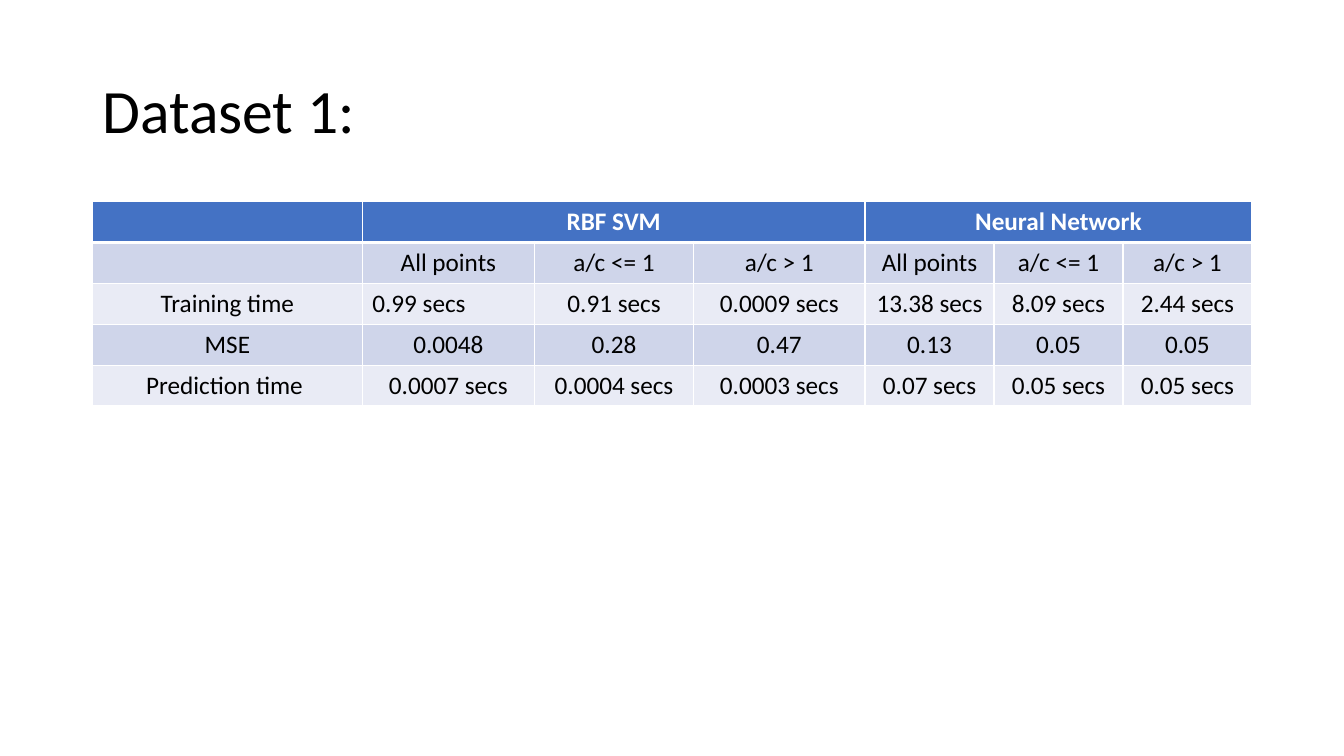
"""Build the Dataset 1 slide comparing RBF SVM and neural network results."""
from lxml import etree
from pptx import Presentation
from pptx.dml.color import RGBColor
from pptx.enum.text import MSO_ANCHOR, PP_ALIGN
from pptx.oxml.ns import qn
from pptx.util import Cm, Pt

MIDDLE = MSO_ANCHOR.MIDDLE
LEFT, CENTER = PP_ALIGN.LEFT, PP_ALIGN.CENTER
BLACK = RGBColor(0x00, 0x00, 0x00)
WHITE = RGBColor(0xFF, 0xFF, 0xFF)
BLUE = RGBColor(0x44, 0x72, 0xC4)
DARK = RGBColor(0xCF, 0xD5, 0xEA)
LIGHT = RGBColor(0xE9, 0xEB, 0xF5)
FONT = "Calibri"

WIDTHS = [6.8, 4.34, 4.01, 4.32, 3.25, 3.25, 3.25]
POINTS = ["All points", "a/c <= 1", "a/c > 1"]
ROWS = [
    ["", "RBF SVM", "", "", "Neural Network", "", ""],
    ["", *POINTS, *POINTS],
    ["Training time", "0.99 secs", "0.91 secs", "0.0009 secs",
     "13.38 secs", "8.09 secs", "2.44 secs"],
    ["MSE", "0.0048", "0.28", "0.47", "0.13", "0.05", "0.05"],
    ["Prediction time ", "0.0007 secs", "0.0004 secs", "0.0003 secs",
     "0.07 secs", "0.05 secs", "0.05 secs"],
]


def style(para, size, color, bold=False):
    para.font.name = FONT
    para.font.size = Pt(size)
    para.font.color.rgb = color
    para.font.bold = bold


def border(cell, side, width):
    props = cell._tc.get_or_add_tcPr()
    line = etree.SubElement(props, qn("a:ln" + side), w=str(Pt(width)))
    fill = etree.SubElement(line, qn("a:solidFill"))
    etree.SubElement(fill, qn("a:srgbClr"), val=str(WHITE))


prs = Presentation()
prs.slide_width, prs.slide_height = Cm(33.87), Cm(19.05)
slide = prs.slides.add_slide(prs.slide_layouts[6])

title = slide.shapes.add_textbox(Cm(2.33), Cm(1.01), Cm(29.21), Cm(3.68))
frame = title.text_frame
frame.word_wrap = True
frame.vertical_anchor = MIDDLE
head = frame.paragraphs[0]
head.text = "Dataset 1:"
head.line_spacing = 0.9
style(head, 44, BLACK)

table = slide.shapes.add_table(
    len(ROWS), len(WIDTHS), Cm(2.33), Cm(5.08), Cm(sum(WIDTHS)), Cm(5.15)
).table
for col, width in zip(table.columns, WIDTHS):
    col.width = Cm(width)

for r, row in enumerate(ROWS):
    for c, text in enumerate(row):
        cell = table.cell(r, c)
        for side in "LRTB":
            thick = (r, side) in [(0, "B"), (1, "T")]
            border(cell, side, 3 if thick else 1)
        cell.fill.solid()
        cell.fill.fore_color.rgb = BLUE if r == 0 else DARK if r % 2 else LIGHT
        para = cell.text_frame.paragraphs[0]
        para.text = text
        para.alignment = LEFT if text == "0.99 secs" else CENTER
        style(para, 18, WHITE if r == 0 else BLACK, r == 0)

for start in (1, 4):
    table.cell(0, start).merge(table.cell(0, start + 2))

prs.save("out.pptx")
